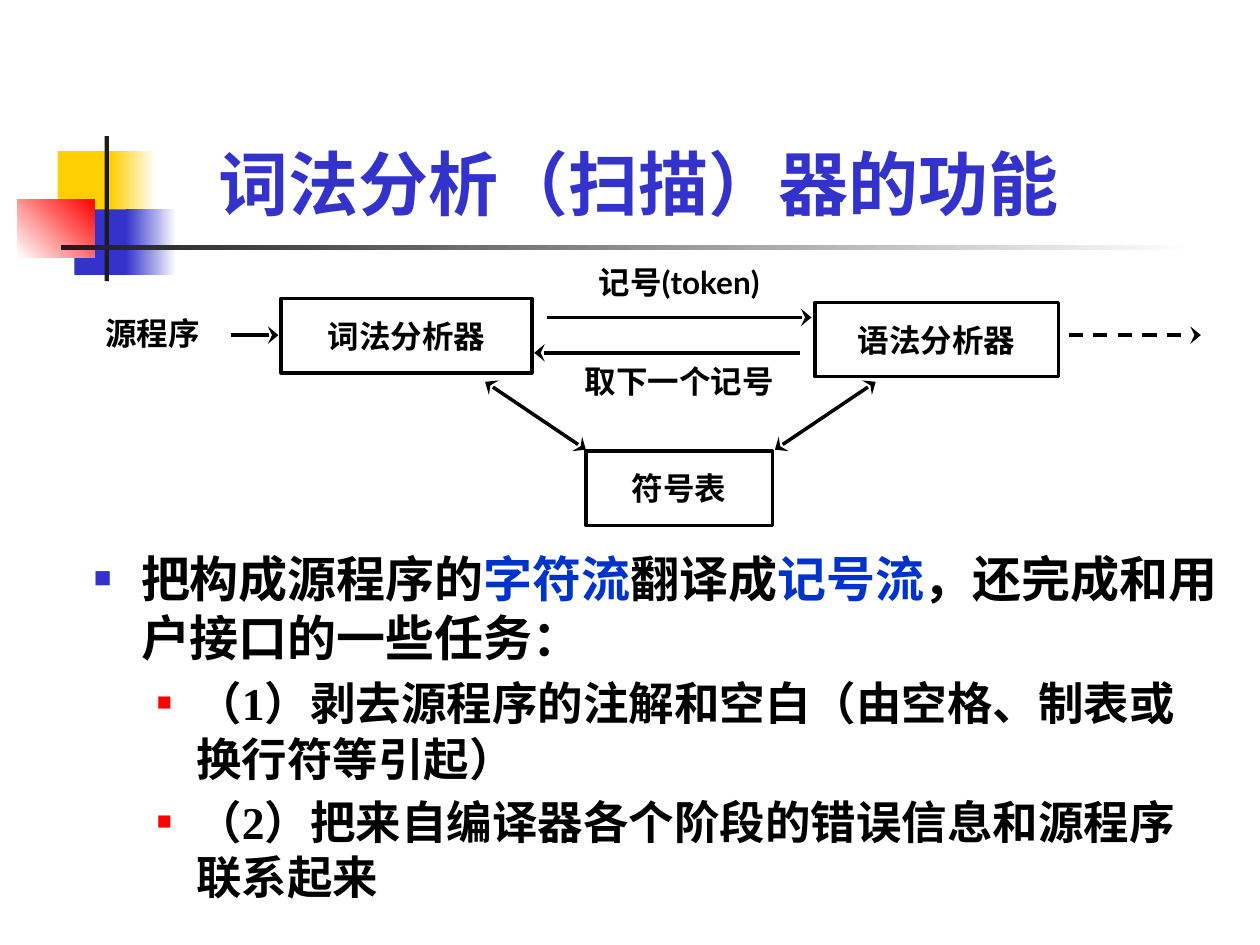
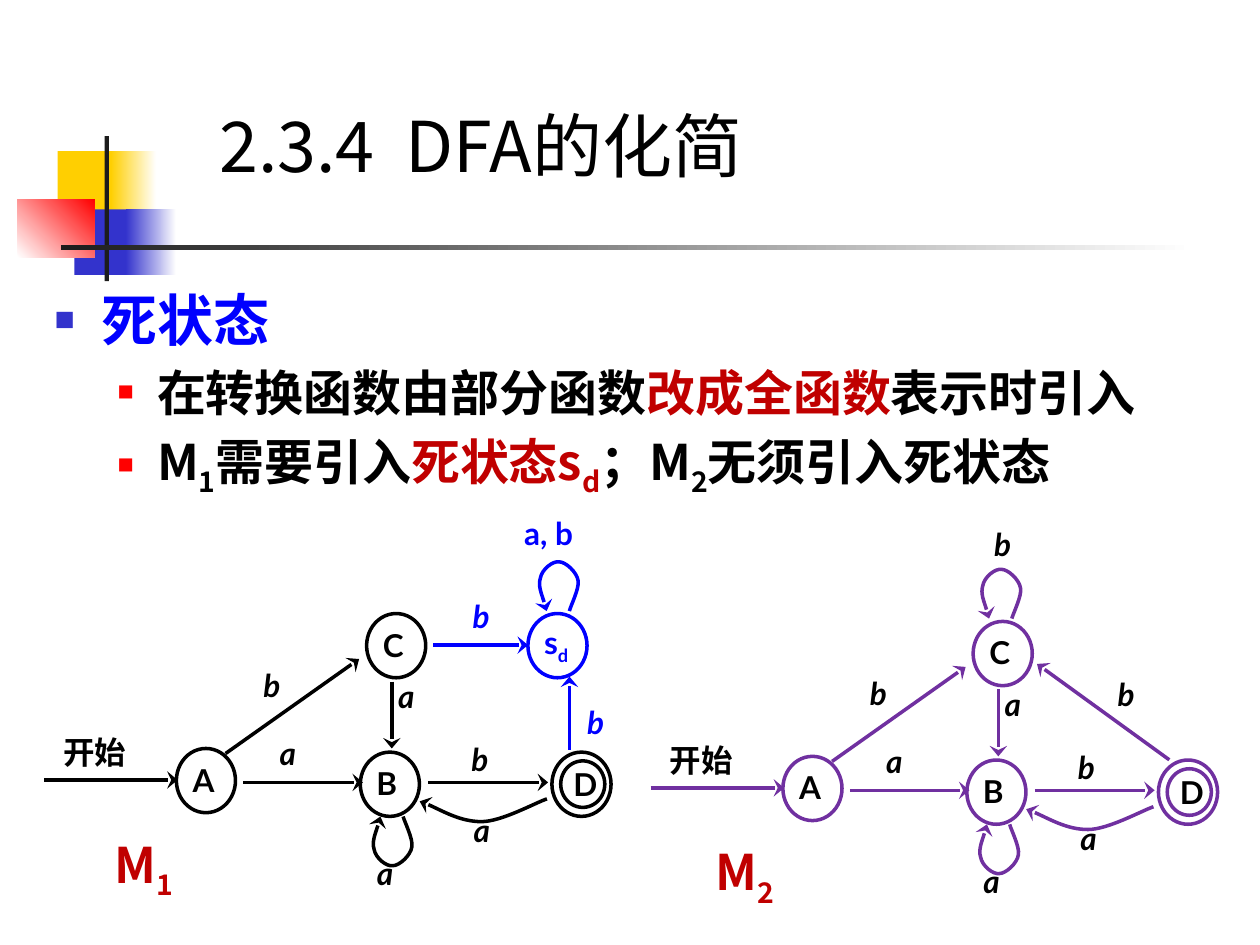
"""Builds two compiler-course slides: the lexical analyser and DFA minimisation."""
from dataclasses import dataclass
from typing import Any, NamedTuple

from pptx import Presentation
from pptx.dml.color import RGBColor
from pptx.enum import dml, shapes, text
from pptx.oxml import ns, xmlchemy
from pptx.util import Pt

COLORS = {"black": "000000", "white": "FFFFFF", "ink": "1C1C1C", "yellow": "FFCF01",
          "indigo": "3333CC", "red": "FF0000", "link": "0033CC", "blue": "0000FF",
          "crimson": "C00000", "purple": "7030A0"}
SANS, SERIF, LATO = "Noto Sans CJK JP", "Times New Roman", "Lato"
LINE_HEIGHT = 1.22
LABEL = {"name": LATO, "size": Pt(18), "bold": True}
SYMBOL = {**LABEL, "italic": True}
HEADING = {"size": Pt(40)}
TIGHT = (4.3, 2.2, 4.3, 2.2)
DEFAULT = (7.2, 3.6, 7.2, 3.6)
STATE_W, STATE_H = 33.8, 36.7
M2_SHIFT = (346.6, 4.5)
LOOP = [(0, 0), (0.7, -2.9), (5.8, -13), (5, -17.3), (4.3, -22.3), (-2.2, -28.1),
        (-5.8, -28.1), (-9.4, -28.8), (-15.8, -23.8), (-16.6, -18.7), (-18, -14.4),
        (-13.7, -3.6), (-13, 0)]
BACK_ARC = [(0, 0), (-6.5, 2.2), (-25.9, 13), (-37.4, 13), (-49.7, 13), (-65.5, 3.6),
            (-72.7, 1.4)]


class Box(NamedTuple):
    x: float
    y: float
    w: float
    h: float


class Span(NamedTuple):
    text: str
    color: str = "black"
    sub: bool = False


@dataclass
class Band:
    box: Box
    start: str
    end: str = ""
    angle: int = 0


@dataclass
class Arrow:
    x1: float
    y1: float
    x2: float
    y2: float
    color: str = "black"
    double: bool = False
    dashed: bool = False


@dataclass
class Item:
    level: int
    size: int
    before: float
    spans: list[Span]


@dataclass
class Symbol:
    text: str
    x: float
    y: float
    color: str = "black"
    w: float = 27.4
    upright: bool = False


BANDS = [
    Band(Box(33, 86.4, 34.6, 37.4), "yellow"),
    Band(Box(63.4, 86.4, 25.9, 37.4), "yellow", "white"),
    Band(Box(42.5, 119.7, 33.1, 37.4), "indigo"),
    Band(Box(72, 119.7, 28.8, 37.4), "indigo", "white"),
    Band(Box(10.1, 113.8, 43.9, 33.1), "white", "red", 45),
    Band(Box(59.8, 77.8, 2.4, 82.8), "ink"),
    Band(Box(34.6, 140.1, 648, 2.6), "ink", "white"),
]
STATES = {"A": (100.8, 427.7), "B": (205.9, 429.8), "C": (209.5, 350.6)}
FINAL = (315.4, 429.8)
EDGES = [
    Arrow(25.2, 445.7, 101.5, 445.7),
    Arrow(139, 447.1, 207.4, 447.1),
    Arrow(244.8, 447.1, 313.2, 447.1),
    Arrow(128.9, 430.6, 205.2, 376.6),
    Arrow(223.9, 389.5, 223.9, 427.7),
]
EDGE_LABELS = [
    Symbol("开始", 31.7, 416.2, w=59, upright=True),
    Symbol("a", 155.5, 416.9), Symbol("b", 265, 420.5), Symbol("b", 146.2, 378),
    Symbol("a", 211, 485.3), Symbol("a", 266.4, 460.8), Symbol("a", 223.2, 384.5),
]


def rgb(color: str) -> RGBColor:
    """Look up a palette colour."""
    return RGBColor.from_string(COLORS[color])


def apply(obj: Any, fmt: dict[str, Any]) -> None:
    """Set each named attribute on an object."""
    for key, value in fmt.items():
        setattr(obj, key, value)


def add_xml(parent: Any, tag: str, **attrs: str) -> Any:
    """Append a DrawingML child element."""
    el = xmlchemy.OxmlElement(tag)
    for key, value in attrs.items():
        el.set(key, value)
    parent.append(el)
    return el


def add_spans(p: Any, spans: list[Span], font: dict[str, Any]) -> None:
    """Write formatted runs into a paragraph."""
    for span in spans:
        r = p.add_run()
        r.text = span.text
        apply(r.font, font)
        r.font.color.rgb = rgb(span.color)
        rPr = r.font._element
        add_xml(rPr, "a:ea", typeface=SANS)
        if span.sub:
            rPr.set("baseline", "-25000")


def set_frame(sp: Any, margins: tuple[float, ...], **fmt: Any) -> Any:
    """Set margins and layout of a text frame and return it."""
    tf = sp.text_frame
    sides = ("margin_left", "margin_top", "margin_right", "margin_bottom")
    apply(tf, {"word_wrap": True, "auto_size": text.MSO_AUTO_SIZE.NONE,
               **{side: Pt(m) for side, m in zip(sides, margins)}, **fmt})
    return tf


def place(sp: Any, box: Box) -> None:
    """Move and size a shape."""
    apply(sp, dict(zip(("left", "top", "width", "height"), map(Pt, box))))


def add_outline(s: Any, kind: Any, box: Box, color: str) -> Any:
    """Draw an unfilled outlined shape."""
    sp = s.shapes.add_shape(kind, *map(Pt, box))
    sp.shadow.inherit = False
    sp.fill.background()
    sp.line.width = Pt(2)
    sp.line.color.rgb = rgb(color)
    return sp


def add_label(s: Any, box: Box, spans: list[Span], font: dict[str, Any],
              margins: tuple[float, ...] = TIGHT, align: Any = text.PP_ALIGN.LEFT,
              wrap: bool = True) -> None:
    """Add a one-line text box."""
    tf = set_frame(s.shapes.add_textbox(*map(Pt, box)), margins, word_wrap=wrap)
    p = tf.paragraphs[0]
    apply(p, {"alignment": align, "line_spacing": Pt(round(font["size"].pt * LINE_HEIGHT, 1))})
    add_spans(p, spans, font)


def style_line(sp: Any, color: str, double: bool = False, dashed: bool = False) -> None:
    """Give a line its colour, arrowheads and no shadow."""
    sp.line.width = Pt(2)
    sp.line.color.rgb = rgb(color)
    if dashed:
        sp.line.dash_style = dml.MSO_LINE.DASH
    spPr = sp.element.spPr
    ln = spPr.find(ns.qn("a:ln"))
    for tag in ("a:headEnd", "a:tailEnd")[not double:]:
        add_xml(ln, tag, type="stealth", w="lg", len="med")
    add_xml(spPr, "a:effectLst")


def add_arrow(s: Any, a: Arrow) -> None:
    """Draw a straight arrow."""
    sp = s.shapes.add_connector(shapes.MSO_CONNECTOR.STRAIGHT,
                                *map(Pt, (a.x1, a.y1, a.x2, a.y2)))
    style_line(sp, a.color, a.double, a.dashed)


def add_curve(s: Any, x: float, y: float, controls: list[tuple[float, float]],
              color: str, flip: int = 1) -> None:
    """Draw a curved arrow, joining each three control points into a Bezier segment."""
    fb = s.shapes.build_freeform(Pt(x), Pt(y))
    fb.add_line_segments([(Pt(x + dx), Pt(y + flip * dy)) for dx, dy in controls[1:]],
                         close=False)
    sp = fb.convert_to_shape()
    sp.fill.background()
    lines = list(sp.element.iter(ns.qn("a:lnTo")))
    outline = lines[0].getparent()
    for i in range(0, len(lines), 3):
        bezier = add_xml(outline, "a:cubicBezTo")
        for line in lines[i:i + 3]:
            bezier.append(line[0])
            outline.remove(line)
    style_line(sp, color)


def add_bands(s: Any) -> None:
    """Draw the decoration and move it to the layout that the slides share."""
    for number, band in enumerate(BANDS, 100):
        sp = s.shapes.add_shape(shapes.MSO_SHAPE.RECTANGLE, *map(Pt, band.box))
        sp.shadow.inherit = False
        sp.line.fill.background()
        if band.end:
            sp.fill.gradient()
            sp.fill.gradient_angle = band.angle
            for stop, color in zip(sp.fill.gradient_stops, (band.start, band.end)):
                stop.color.rgb = rgb(color)
        else:
            sp.fill.solid()
            sp.fill.fore_color.rgb = rgb(band.start)
        sp.element.nvSpPr.cNvPr.set("id", str(number))
        s.slide_layout.shapes.element.append(sp.element)


def set_title(s: Any, box: Box, span: Span, font: dict[str, Any],
              margins: tuple[float, ...], anchor: Any) -> None:
    """Fill the title placeholder."""
    sp = s.shapes.title
    place(sp, box)
    p = set_frame(sp, margins, vertical_anchor=anchor).paragraphs[0]
    p.alignment = text.PP_ALIGN.LEFT
    add_spans(p, [span], {**HEADING, **font})


def set_body(s: Any, box: Box, items: list[Item], name: str) -> None:
    """Fill the body placeholder with a two-level bulleted list."""
    sp = s.placeholders[1]
    place(sp, box)
    tf = set_frame(sp, DEFAULT)
    for i, item in enumerate(items):
        p = tf.add_paragraph() if i else tf.paragraphs[0]
        left, hang, color, percent = ((27, 27, "indigo", 60), (58.5, 22.5, "red", 55))[item.level]
        apply(p, {"level": item.level, "space_before": Pt(item.before),
                  "line_spacing": Pt(round(item.size * LINE_HEIGHT, 1))})
        pPr = p._p.get_or_add_pPr()
        pPr.set("marL", str(Pt(left)))
        pPr.set("indent", str(-Pt(hang)))
        add_xml(add_xml(pPr, "a:buClr"), "a:srgbClr", val=COLORS[color])
        add_xml(pPr, "a:buSzPct", val=str(percent * 1000))
        add_xml(pPr, "a:buFont", typeface=SERIF)
        add_xml(pPr, "a:buChar", char="■")
        add_spans(p, item.spans, {"name": name, "size": Pt(item.size), "bold": True})


def add_state(s: Any, x: float, y: float, spans: list[Span], color: str,
              final: bool = False) -> None:
    """Draw an automaton state, with a double ring if it is final."""
    oval = shapes.MSO_SHAPE.OVAL
    sp = add_outline(s, oval, Box(x, y, STATE_W, STATE_H), color)
    margins = (4.3, 2.2, 1.4, 3.6)
    if final:
        sp = add_outline(s, oval, Box(x + 5, y + 5, 25.2, 26.6), color)
        margins = (3.6, 0, 0.7, 0)
    p = set_frame(sp, margins, vertical_anchor=text.MSO_ANCHOR.MIDDLE).paragraphs[0]
    p.alignment = text.PP_ALIGN.LEFT
    add_spans(p, spans, LABEL)


def add_symbol(s: Any, sym: Symbol, dx: float = 0, dy: float = 0) -> None:
    """Add an edge label."""
    add_label(s, Box(sym.x + dx, sym.y + dy, sym.w, 30), [Span(sym.text, sym.color)],
              LABEL if sym.upright else SYMBOL)


def add_automaton(s: Any, dx: float, dy: float, color: str) -> None:
    """Draw the part that both automata have in common."""
    for name, (x, y) in STATES.items():
        add_state(s, x + dx, y + dy, [Span(name)], color)
    add_state(s, FINAL[0] + dx, FINAL[1] + dy, [Span("D")], color, final=True)
    for e in EDGES:
        add_arrow(s, Arrow(e.x1 + dx, e.y1 + dy, e.x2 + dx, e.y2 + dy, color))
    add_curve(s, 230.4 + dx, 466.6 + dy, LOOP, color, flip=-1)
    add_curve(s, 312.5 + dx, 456.5 + dy, BACK_ARC, color)
    for sym in EDGE_LABELS:
        add_symbol(s, sym, dx, dy)


def build_lexer(s: Any) -> None:
    """Build the slide on what a lexical analyser does."""
    set_title(s, Box(90.7, 66.2, 613.4, 66.2), Span("词法分析（扫描）器的功能", "indigo"),
              {"name": SERIF, "bold": True}, (34.4, 3.6, 7.2, 3.8), text.MSO_ANCHOR.BOTTOM)
    set_body(s, Box(46.4, 309, 658.1, 213.8), [
        Item(0, 28, 0, [Span("把构成源程序的"), Span("字符流", "link"), Span("翻译成"),
                        Span("记号流", "link"), Span("，还完成和用户接口的一些任务：")]),
        Item(1, 26, 4.3, [Span("（1）剥去源程序的注解和空白（由空格、制表或换行符等引起）")]),
        Item(1, 26, 4.3, [Span("（2）把来自编译器各个阶段的错误信息和源程序联系起来")]),
    ], SERIF)
    for name, x, y, w in (("词法分析器", 160.6, 170.6, 143.3),
                          ("语法分析器", 465.8, 172.8, 139), ("符号表", 334.8, 257.8, 106.6)):
        sp = add_outline(s, shapes.MSO_SHAPE.RECTANGLE, Box(x, y, w, 42.5), "black")
        p = set_frame(sp, DEFAULT, vertical_anchor=text.MSO_ANCHOR.MIDDLE).paragraphs[0]
        p.alignment = text.PP_ALIGN.CENTER
        add_spans(p, [Span(name)], LABEL)
    for arrow in (Arrow(277.2, 218.2, 334.8, 257, double=True),
                  Arrow(500.4, 218.2, 442.8, 257, double=True),
                  Arrow(312.5, 181.4, 463.7, 181.4), Arrow(457.2, 201.6, 305.3, 201.6),
                  Arrow(131.8, 191.5, 159.1, 191.5),
                  Arrow(610.6, 191.5, 686.2, 191.5, dashed=True)):
        add_arrow(s, arrow)
    for name, x, y, w in (("记号(token)", 319, 146.5, 138.2),
                          ("取下一个记号", 311, 203, 154.1), ("源程序", 41, 175.5, 92.2)):
        add_label(s, Box(x, y, w, 31), [Span(name)], LABEL, DEFAULT, text.PP_ALIGN.CENTER)


def build_dfa(s: Any) -> None:
    """Build the slide on dead states in DFA minimisation."""
    set_title(s, Box(118.1, 56.2, 510.5, 52.6), Span("2.3.4  DFA的化简"),
              {"name": SANS, "bold": False}, DEFAULT, text.MSO_ANCHOR.MIDDLE)
    set_body(s, Box(24, 159.1, 674.6, 155.5), [
        Item(0, 32, 0, [Span("死状态", "blue")]),
        Item(1, 28, 4.8, [Span("在转换函数由部分函数"), Span("改成全函数", "crimson"),
                          Span("表示时引入")]),
        Item(1, 28, 9.6, [Span("M"), Span("1", sub=True), Span("需要引入"),
                          Span("死状态s", "crimson"), Span("d", "crimson", True), Span("；M"),
                          Span("2", sub=True), Span("无须引入死状态")]),
    ], SANS)
    add_automaton(s, 0, 0, "black")
    add_automaton(s, *M2_SHIFT, "purple")
    add_state(s, 301.7, 350.6, [Span("s", "blue"), Span("d", "blue", True)], "blue")
    for arrow in (Arrow(247.7, 368.6, 301.7, 368.6, "blue"),
                  Arrow(325.4, 428.4, 325.4, 386.6, "blue"),
                  Arrow(668.2, 434.2, 592.6, 379.4, "purple")):
        add_arrow(s, arrow)
    add_curve(s, 325.4, 349.2, LOOP, "blue")
    add_curve(s, 578.2, 353.5, LOOP, "purple")
    for sym in (Symbol("a, b", 295.2, 290.9, "blue", 54, True), Symbol("b", 331.2, 398.9, "blue"),
                Symbol("b", 265.7, 338.4, "blue"), Symbol("b", 563.8, 297.4),
                Symbol("b", 634.3, 383)):
        add_symbol(s, sym)
    for number, x, y in (("1", 58.3, 473.8), ("2", 401.8, 478.1)):
        add_label(s, Box(x, y, 50, 41), [Span("M", "crimson"), Span(number, "crimson", True)],
                  {"name": SANS, "size": Pt(28), "bold": True}, (7.2, 7, 7.2, 0), wrap=False)


def main() -> None:
    """Build and save the presentation."""
    prs = Presentation()
    apply(prs, {"slide_width": Pt(720), "slide_height": Pt(540)})
    lexer, dfa = (prs.slides.add_slide(prs.slide_layouts[1]) for _ in range(2))
    add_bands(lexer)
    build_lexer(lexer)
    build_dfa(dfa)
    prs.save("out.pptx")


if __name__ == "__main__":
    main()
